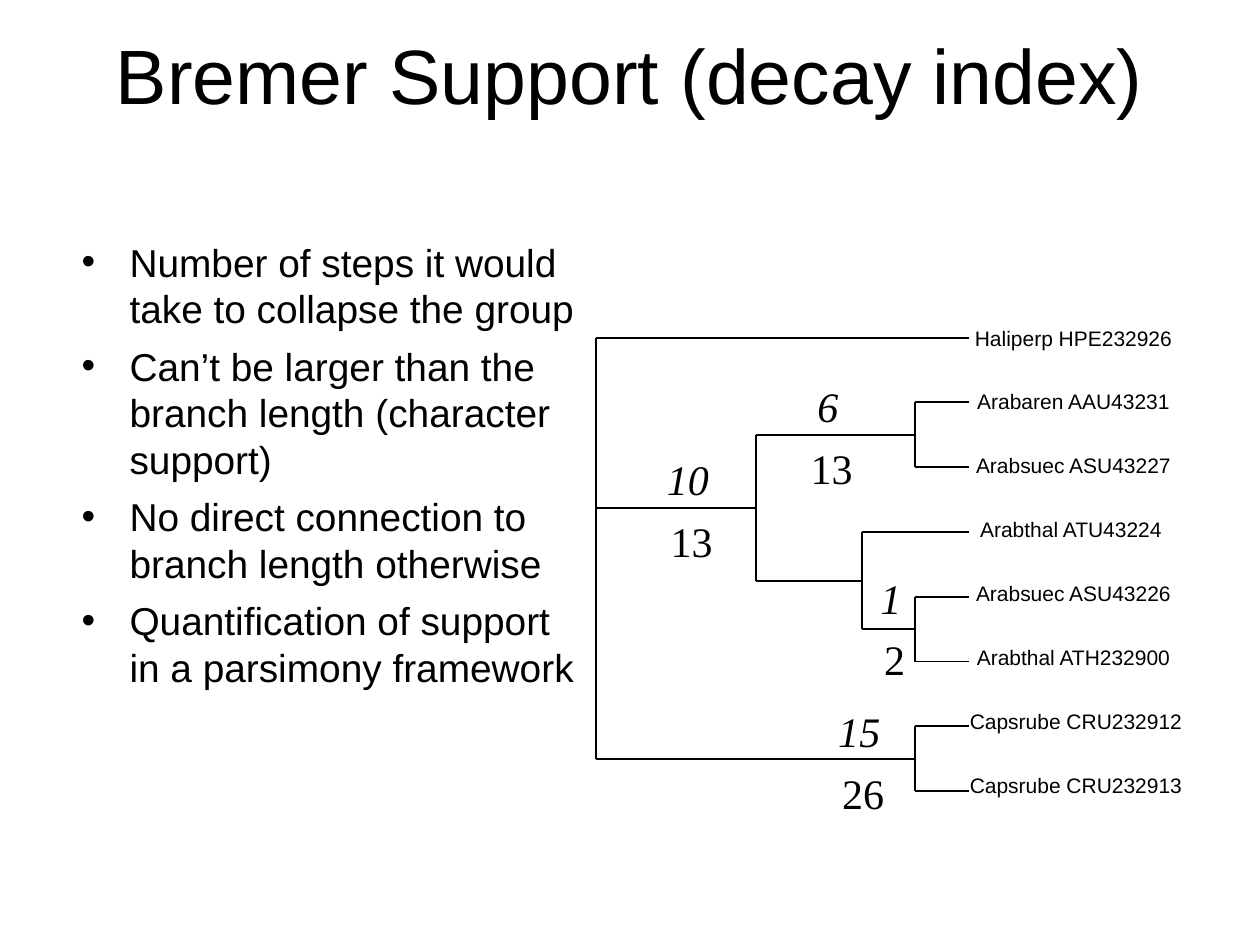
from lxml import etree
from pptx import Presentation
from pptx.dml.color import RGBColor
from pptx.enum import shapes, text
from pptx.oxml.ns import qn
from pptx.util import Inches, Pt

COLORS = {"ink": "000000", "paper": "FFFFFF"}
SANS, SERIF = "Arial", "Times New Roman"

BULLETS = [
    "Number of steps it would take to collapse the group",
    "Can’t be larger than the branch length (character support)",
    "No direct connection to branch length otherwise",
    "Quantification of support in a parsimony framework",
]

# Taxon name, centre and width of its label
TAXA = [
    ("Haliperp HPE232926", 8.52, 1.57),
    ("Arabaren AAU43231", 8.52, 1.54),
    ("Arabsuec ASU43227", 8.52, 1.56),
    ("Arabthal ATU43224", 8.5, 1.46),
    ("Arabsuec ASU43226", 8.52, 1.56),
    ("Arabthal ATH232900", 8.52, 1.56),
    ("Capsrube CRU232912", 8.54, 1.69),
    ("Capsrube CRU232913", 8.54, 1.69),
]
LABEL_TOP, LABEL_STEP = 2.58, 0.507
LEAF_X, LEAF_TOP, LEAF_STEP = 7.69, 2.68, 0.514

# A node is (x, children); a plain number is the index of a taxon
TREE = (4.73, [
    0,
    (6, [(7.26, [1, 2]), (6.84, [3, (7.26, [4, 5])])]),
    (7.26, [6, 7]),
])

# Bremer support, branch length, centre, top
SUPPORT = [
    ("6", "13", 6.57, 2.97),
    ("1", "2", 7.07, 4.49),
    ("10", "13", 5.46, 3.55),
    ("15", "26", 6.82, 5.55),
]


class SlideBuilder:
    def __init__(self, presentation):
        self.slide = presentation.slides.add_slide(presentation.slide_layouts[5])
        self.ink = RGBColor.from_string(COLORS["ink"])
        fill = self.slide.background.fill
        fill.solid()
        fill.fore_color.rgb = RGBColor.from_string(COLORS["paper"])

    def set_frame(self, frame, insets, anchor, wrap=True):
        frame.margin_left, frame.margin_top, frame.margin_right, frame.margin_bottom = (
            Inches(inset) for inset in insets)
        frame.vertical_anchor = anchor
        frame.word_wrap = wrap
        frame.auto_size = text.MSO_AUTO_SIZE.NONE

    def add_run(self, paragraph, words, size, font=SANS, italic=False):
        run = paragraph.add_run()
        run.text = words
        run.font.size = Pt(size)
        run.font.name = font
        run.font.italic = italic
        run.font.color.rgb = self.ink

    def add_title(self, words):
        title = self.slide.shapes.title
        title.left, title.top = Inches(0.5), Inches(0.3)
        title.width, title.height = Inches(9), Inches(1.25)
        # The deep bottom inset lifts the line above the middle of the box
        self.set_frame(title.text_frame, (0.1, 0.05, 0.1, 0.73), text.MSO_ANCHOR.MIDDLE)
        paragraph = title.text_frame.paragraphs[0]
        paragraph.alignment = text.PP_ALIGN.CENTER
        self.add_run(paragraph, words, 44)

    def add_bullets(self, left, top, width, height, items):
        box = self.slide.shapes.add_textbox(
            Inches(left), Inches(top), Inches(width), Inches(height))
        frame = box.text_frame
        self.set_frame(frame, (0.1, 0.07, 0.1, 0.05), text.MSO_ANCHOR.TOP)
        for index, item in enumerate(items):
            paragraph = frame.add_paragraph() if index else frame.paragraphs[0]
            properties = paragraph._p.get_or_add_pPr()
            properties.set("marL", str(Inches(0.38)))
            properties.set("indent", str(-Inches(0.38)))
            etree.SubElement(properties, qn("a:buFont")).set("typeface", SANS)
            etree.SubElement(properties, qn("a:buChar")).set("char", "•")
            paragraph.line_spacing = Pt(26.7)
            paragraph.space_before = Pt(6 if index else 0)
            self.add_run(paragraph, item, 22.2)

    def add_label(self, center, top, width, height, words, size,
                  insets=(0, 0, 0, 0), anchor=text.MSO_ANCHOR.TOP, **style):
        box = self.slide.shapes.add_textbox(
            Inches(center - width / 2), Inches(top), Inches(width), Inches(height))
        self.set_frame(box.text_frame, insets, anchor, wrap=False)
        paragraph = box.text_frame.paragraphs[0]
        paragraph.alignment = text.PP_ALIGN.CENTER
        self.add_run(paragraph, words, size, **style)

    def add_number(self, center, top, words, italic=False):
        width = 0.36 if len(words) == 1 else 0.53
        self.add_label(center, top, width, 0.5, words, 24, (0.1, 0.05, 0.1, 0.05),
                       text.MSO_ANCHOR.MIDDLE, font=SERIF, italic=italic)

    def add_line(self, x1, y1, x2, y2):
        line = self.slide.shapes.add_connector(
            shapes.MSO_CONNECTOR.STRAIGHT,
            Inches(x1), Inches(y1), Inches(x2), Inches(y2))
        line.line.color.rgb = self.ink
        line.line.width = Pt(1.13)
        etree.SubElement(line._element.spPr, qn("a:effectLst"))

    def add_branches(self, node):
        """Draw everything right of a node and return the node's position."""
        if isinstance(node, int):
            return LEAF_X, LEAF_TOP + node * LEAF_STEP
        x, children = node
        ends = [self.add_branches(child) for child in children]
        for end_x, end_y in ends:
            self.add_line(end_x, end_y, x, end_y)
        top, bottom = ends[0][1], ends[-1][1]
        self.add_line(x, top, x, bottom)
        return x, (top + bottom) / 2


def main():
    presentation = Presentation()
    presentation.slide_width, presentation.slide_height = Inches(10), Inches(7.5)
    builder = SlideBuilder(presentation)

    # Title and explanation
    builder.add_title("Bremer Support (decay index)")
    builder.add_bullets(0.55, 1.82, 4.17, 4.5, BULLETS)

    # Tree with its taxa
    for index, (name, center, width) in enumerate(TAXA):
        builder.add_label(center, LABEL_TOP + index * LABEL_STEP, width, 0.2, name, 12)
    builder.add_branches(TREE)

    # Support above each branch, branch length below
    for bremer, length, center, top in SUPPORT:
        builder.add_number(center, top, bremer, italic=True)
        builder.add_number(center + 0.03, top + 0.49, length)

    presentation.save("out.pptx")


if __name__ == "__main__":
    main()
